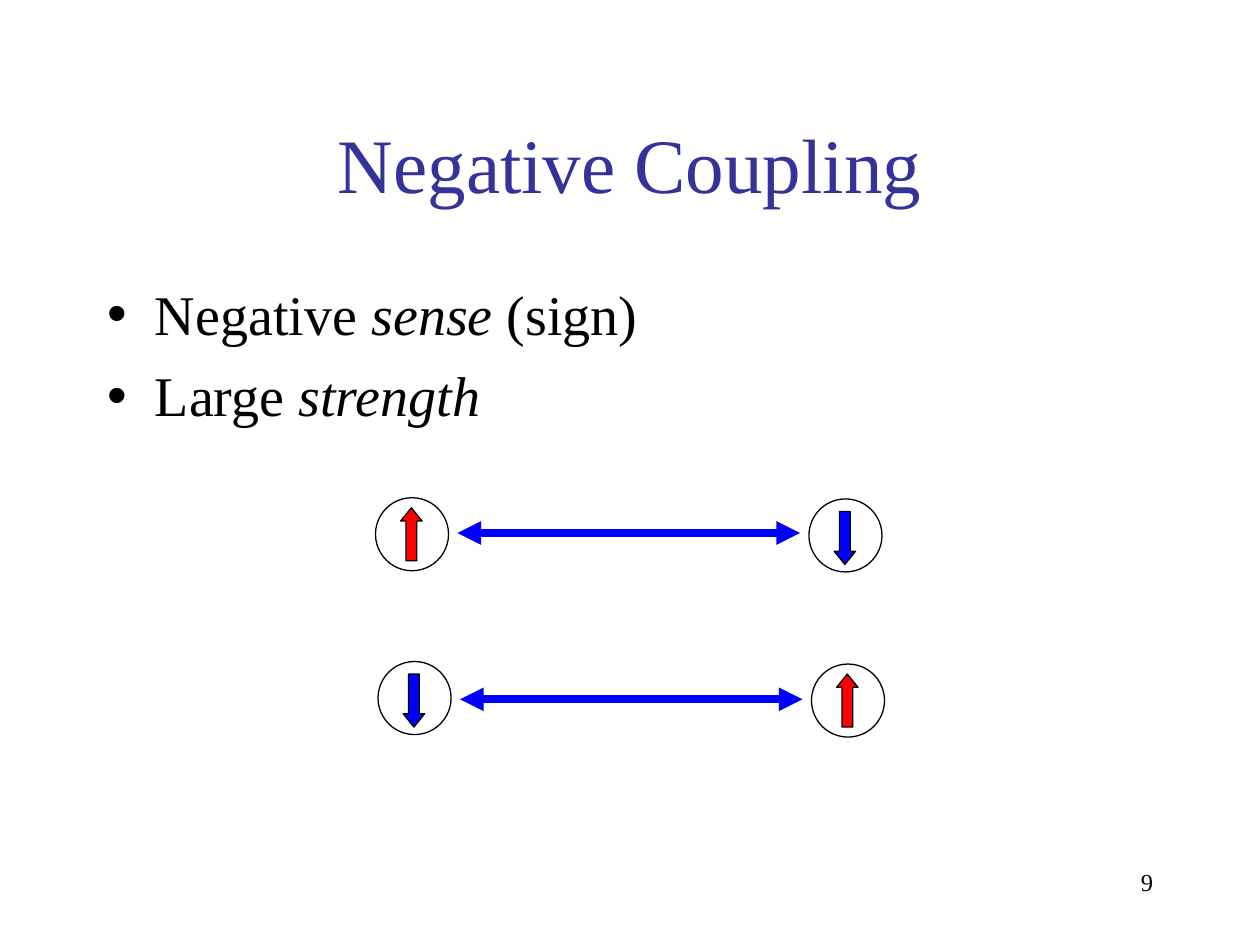
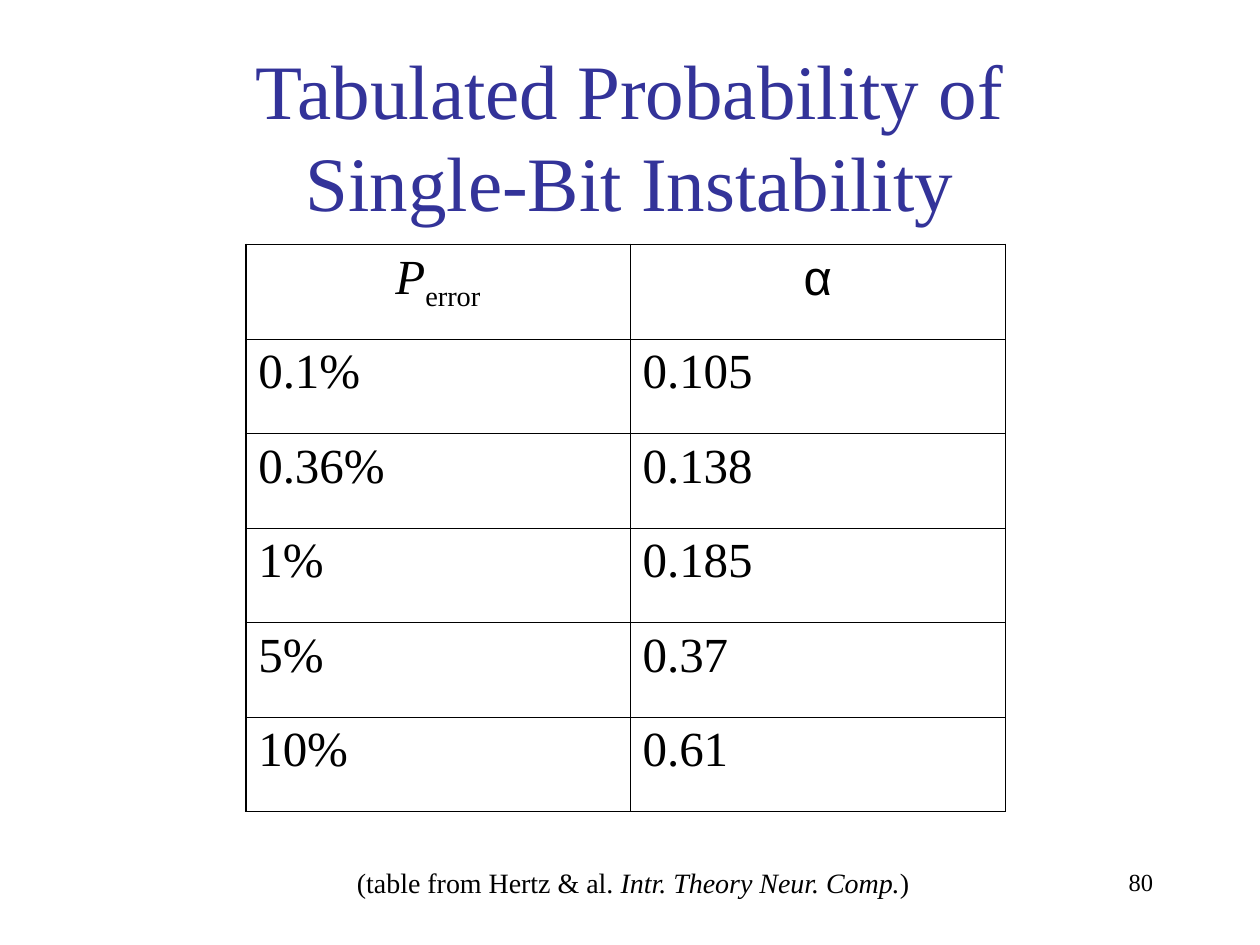
"""Build two slides on negative coupling and single-bit instability."""
from lxml import etree
from pptx import Presentation
from pptx.dml.color import RGBColor
from pptx.enum.shapes import MSO_CONNECTOR, MSO_SHAPE
from pptx.enum.text import MSO_ANCHOR, MSO_AUTO_SIZE, PP_ALIGN
from pptx.oxml.ns import qn
from pptx.util import Inches, Pt

BLACK = RGBColor(0x00, 0x00, 0x00)
WHITE = RGBColor(0xFF, 0xFF, 0xFF)
INDIGO = RGBColor(0x33, 0x33, 0x99)
RED = RGBColor(0xFF, 0x00, 0x00)
BLUE = RGBColor(0x00, 0x00, 0xFF)
SERIF, SANS = "Times New Roman", "Arial"
TITLE_ONLY, TITLE_AND_BODY = 5, 1
OUTER_BORDER, INNER_BORDER = 1.08, 0.45


class Deck:
    def __init__(self):
        self.presentation = Presentation()
        self.presentation.slide_width = Inches(10)
        self.presentation.slide_height = Inches(7.5)
        self.slide = None

    def place(self, shape, left, top, width, height):
        shape.left, shape.top = Inches(left), Inches(top)
        shape.width, shape.height = Inches(width), Inches(height)

    def style(self, paragraph, size, color=BLACK, align=PP_ALIGN.LEFT, font=SERIF):
        paragraph.alignment = align
        paragraph.font.name = font
        paragraph.font.size = Pt(size)
        paragraph.font.color.rgb = color

    def add_runs(self, paragraph, runs):
        for text, italic in runs:
            run = paragraph.add_run()
            run.text = text
            run.font.italic = italic

    def new_slide(self, layout, title_lines, number, title_height):
        layouts = self.presentation.slide_layouts
        self.slide = self.presentation.slides.add_slide(layouts[layout])
        title = self.slide.shapes.title
        self.place(title, 0.75, 0.67, 8.5, title_height)
        frame = title.text_frame
        frame.auto_size = MSO_AUTO_SIZE.NONE
        frame.vertical_anchor = MSO_ANCHOR.MIDDLE
        paragraph = frame.paragraphs[0]
        for index, line in enumerate(title_lines):
            if index:
                paragraph.add_line_break()
            paragraph.add_run().text = line
        self.style(paragraph, 44, INDIGO, PP_ALIGN.CENTER)
        self.text([(number, False)], (7.17, 6.83, 2.08, 0.5), 14, PP_ALIGN.RIGHT)

    def text(self, runs, box, size, align, wrap=True):
        shape = self.slide.shapes.add_textbox(*map(Inches, box))
        shape.text_frame.word_wrap = wrap
        paragraph = shape.text_frame.paragraphs[0]
        self.add_runs(paragraph, runs)
        self.style(paragraph, size, align=align)

    def bullets(self, items, box):
        body = self.slide.placeholders[1]
        self.place(body, *box)
        frame = body.text_frame
        frame.auto_size = MSO_AUTO_SIZE.NONE
        for index, runs in enumerate(items):
            paragraph = frame.add_paragraph() if index else frame.paragraphs[0]
            properties = paragraph._p.get_or_add_pPr()
            properties.set("marL", str(Inches(0.38)))
            properties.set("indent", str(Inches(-0.38)))
            etree.SubElement(properties, qn("a:buChar"), char="•")
            paragraph.space_before = Pt(8 if index else 0)
            self.add_runs(paragraph, runs)
            self.style(paragraph, 32)

    def preset(self, shapes, kind, box, fill):
        shape = shapes.add_shape(kind, *map(Inches, box))
        shape.shadow.inherit = False
        shape.fill.solid()
        shape.fill.fore_color.rgb = fill
        shape.line.color.rgb = BLACK
        shape.line.width = Pt(0.75)
        return shape

    def spin(self, left, top, up):
        shapes = self.slide.shapes.add_group_shape().shapes
        self.preset(shapes, MSO_SHAPE.FLOWCHART_CONNECTOR, (left, top, 0.58, 0.58), WHITE)
        arrow_top = top + (0.08 if up else 0.1)
        arrow = self.preset(shapes, MSO_SHAPE.UP_ARROW,
                            (left + 0.2, arrow_top, 0.17, 0.42), RED if up else BLUE)
        arrow.adjustments[0], arrow.adjustments[1] = 0.5, 0.62
        arrow.rotation = 0 if up else 180

    def double_arrow(self, left, right, y):
        connector = self.slide.shapes.add_connector(
            MSO_CONNECTOR.STRAIGHT, Inches(left), Inches(y), Inches(right), Inches(y))
        connector.line.color.rgb = BLUE
        connector.line.width = Pt(4.5)
        line = connector.line._get_or_add_ln()
        for end in ("a:headEnd", "a:tailEnd"):
            etree.SubElement(line, qn(end), type="triangle")
        etree.SubElement(connector._element.spPr, qn("a:effectLst"))

    def border(self, cell, outer_sides):
        properties = cell._tc.get_or_add_tcPr()
        for index, side in enumerate("LRTB"):
            width = OUTER_BORDER if side in outer_sides else INNER_BORDER
            line = etree.Element(qn(f"a:ln{side}"), w=str(Pt(width)))
            fill = etree.SubElement(line, qn("a:solidFill"))
            etree.SubElement(fill, qn("a:srgbClr"), val=str(BLACK))
            properties.insert(index, line)

    def table(self, rows, left, top, widths, row_height):
        last_row, last_column = len(rows) - 1, len(widths) - 1
        table = self.slide.shapes.add_table(
            len(rows), len(widths), Inches(left), Inches(top),
            Inches(sum(widths)), Inches(row_height * len(rows))).table
        table.first_row = table.horz_banding = False
        for column, width in zip(table.columns, widths):
            column.width = Inches(width)
        for r, row in enumerate(rows):
            for c, text in enumerate(row):
                cell = table.cell(r, c)
                cell.text = text
                cell.fill.solid()
                cell.fill.fore_color.rgb = WHITE
                edges = {"L": c == 0, "R": c == last_column, "T": r == 0, "B": r == last_row}
                self.border(cell, [side for side, outer in edges.items() if outer])
                self.style(cell.text_frame.paragraphs[0], 28,
                           align=PP_ALIGN.LEFT if r else PP_ALIGN.CENTER)
        return table


def coupling_slide(deck):
    deck.new_slide(TITLE_AND_BODY, ["Negative Coupling"], "9", 1.25)
    deck.bullets([[("Negative ", False), ("sense", True), (" (sign)", False)],
                  [("Large ", False), ("strength", True)]], (0.75, 2.17, 8.5, 1.54))
    pairs = [(2.98, 3.95, 3.96, 4.23, True), (3, 5.25, 5.27, 5.55, False)]
    for left, left_top, right_top, arrow_y, left_up in pairs:
        right = left + 3.44
        deck.spin(left, left_top, left_up)
        deck.spin(right, right_top, not left_up)
        deck.double_arrow(left + 0.65, right - 0.07, arrow_y)


def instability_slide(deck):
    deck.new_slide(TITLE_ONLY, ["Tabulated Probability of", "Single-Bit Instability"], "80", 0.8)
    rows = [("", "α"), ("0.1%", "0.105"), ("0.36%", "0.138"),
            ("1%", "0.185"), ("5%", "0.37"), ("10%", "0.61")]
    table = deck.table(rows, 1.95, 1.94, (3.05, 2.98), 0.75)
    heading = table.cell(0, 0).text_frame.paragraphs[0]
    deck.add_runs(heading, [("P", True), ("error", False)])
    heading.runs[1].font._element.set("baseline", "-25000")
    for run in heading.runs:
        run.font.size = Pt(28)
    alpha = table.cell(0, 1).text_frame.paragraphs[0]
    deck.style(alpha, 28, align=PP_ALIGN.CENTER, font=SANS)
    deck.text([("(table from Hertz & al. ", False), ("Intr. Theory Neur. Comp.", True),
               (")", False)], (2.71, 6.82, 4.63, 0.37), 16, PP_ALIGN.CENTER, wrap=False)


def main():
    deck = Deck()
    coupling_slide(deck)
    instability_slide(deck)
    deck.presentation.save("out.pptx")


if __name__ == "__main__":
    main()
